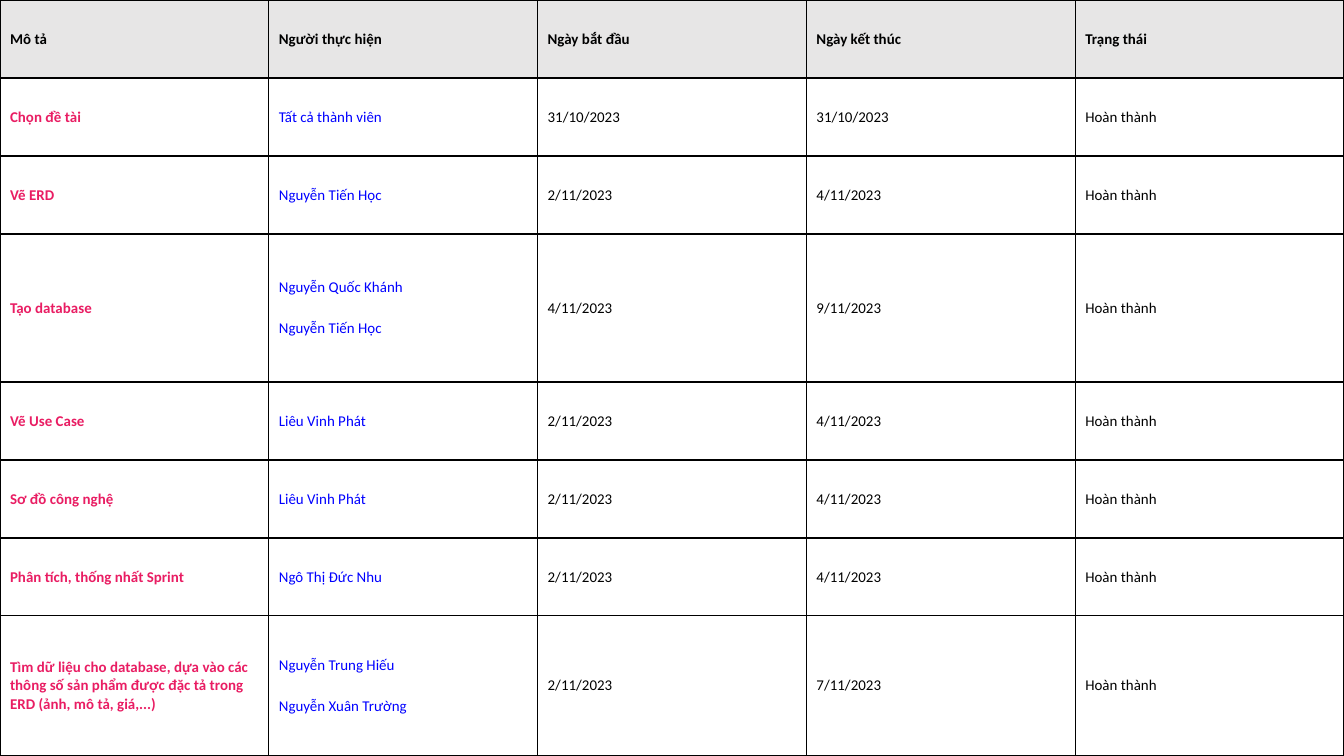
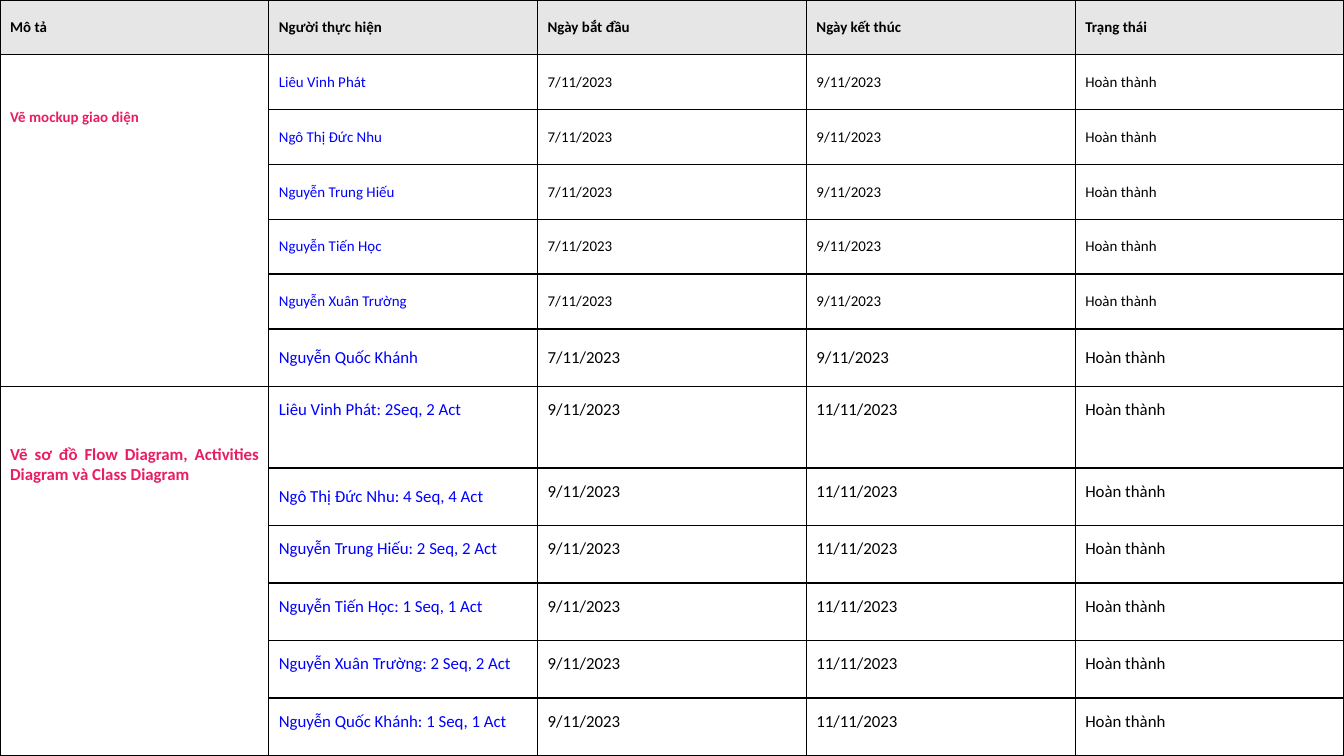
from lxml.etree import SubElement
from pptx import Presentation
from pptx.dml.color import RGBColor
from pptx.enum.text import MSO_ANCHOR, PP_ALIGN
from pptx.oxml.ns import qn
from pptx.util import Inches, Pt

COLORS = {"head": "E7E6E6", "task": "E91D63", "person": "0000FF", "text": "000000"}
FONT = "Calibri"
TOP, MIDDLE = MSO_ANCHOR.TOP, MSO_ANCHOR.MIDDLE
LEFT, JUSTIFY = PP_ALIGN.LEFT, PP_ALIGN.JUSTIFY

HEADERS = ["Mô tả", "Người thực hiện", "Ngày bắt đầu", "Ngày kết thúc", "Trạng thái"]
DONE = "Hoàn thành"

TASKS = [
    ("Chọn đề tài", ["Tất cả thành viên"], "31/10/2023", "31/10/2023", 0.58),
    ("Vẽ ERD", ["Nguyễn Tiến Học"], "2/11/2023", "4/11/2023", 0.58),
    ("Tạo database", ["Nguyễn Quốc Khánh", "Nguyễn Tiến Học"], "4/11/2023", "9/11/2023", 1.1),
    ("Vẽ Use Case", ["Liêu Vinh Phát"], "2/11/2023", "4/11/2023", 0.58),
    ("Sơ đồ công nghệ", ["Liêu Vinh Phát"], "2/11/2023", "4/11/2023", 0.58),
    ("Phân tích, thống nhất Sprint", ["Ngô Thị Đức Nhu"], "2/11/2023", "4/11/2023", 0.58),
    ("Tìm dữ liệu cho database, dựa vào các thông số sản phẩm được đặc tả trong ERD "
     "(ảnh, mô tả, giá,...)",
     ["Nguyễn Trung Hiếu", "Nguyễn Xuân Trường"], "2/11/2023", "7/11/2023", 1.04),
]

GROUPS = [
    {"task": "Vẽ mockup giao diện", "size": 8, "anchor": MIDDLE, "top": 0.4,
     "start": "7/11/2023", "end": "9/11/2023",
     "people": [("Liêu Vinh Phát", 8, 0.41), ("Ngô Thị Đức Nhu", 8, 0.41),
                ("Nguyễn Trung Hiếu", 8, 0.41), ("Nguyễn Tiến Học", 8, 0.41),
                ("Nguyễn Xuân Trường", 8, 0.41), ("Nguyễn Quốc Khánh", 9, 0.43)]},
    {"task": "Vẽ sơ đồ Flow Diagram, Activities Diagram và Class Diagram", "size": 9,
     "anchor": TOP, "top": 0.43, "start": "9/11/2023", "end": "11/11/2023",
     "people": [("Liêu Vinh Phát: 2Seq, 2 Act", 9, 0.61),
                ("Ngô Thị Đức Nhu: 4 Seq, 4 Act", 9, 0.43),
                ("Nguyễn Trung Hiếu: 2 Seq, 2 Act", 9, 0.43),
                ("Nguyễn Tiến Học: 1 Seq, 1 Act", 9, 0.43),
                ("Nguyễn Xuân Trường: 2 Seq, 2 Act", 9, 0.43),
                ("Nguyễn Quốc Khánh: 1 Seq, 1 Act", 9, 0.43)]},
]
CENTERED_PERSON = "Ngô Thị Đức Nhu: 4 Seq, 4 Act"


def add_borders(cell):
    tcPr = cell._tc.get_or_add_tcPr()
    for i, side in enumerate(("lnL", "lnR", "lnT", "lnB")):
        ln = SubElement(tcPr, qn(f"a:{side}"), w=str(Pt(0.75)))
        SubElement(SubElement(ln, qn("a:solidFill")), qn("a:srgbClr"), val=COLORS["text"])
        tcPr.insert(i, ln)


def fill_cell(cell, lines, color="text", size=8, bold=False, align=LEFT,
              anchor=MIDDLE, top=0.1, before=12):
    cell.margin_left = cell.margin_right = Pt(5.4)
    cell.margin_top, cell.margin_bottom = Inches(top), Inches(0.1)
    cell.vertical_anchor = anchor
    tf = cell.text_frame
    tf.text = "\n".join(lines)
    for p in tf.paragraphs:
        p.alignment = align
        p.space_before = Pt(before)
        p.font.name, p.font.size, p.font.bold = FONT, Pt(size), bold
        p.font.color.rgb = RGBColor.from_string(COLORS[color])
    p.space_after = Pt(12)


def add_schedule(prs, heights, align):
    s = prs.slides.add_slide(prs.slide_layouts[6])
    table = s.shapes.add_table(len(heights), len(HEADERS), 0, 0,
                               prs.slide_width, prs.slide_height).table
    table.first_row = table.horz_banding = False
    for row, height in zip(table.rows, heights):
        row.height = int(prs.slide_height * height / sum(heights))
    for cell in table.iter_cells():
        cell.fill.background()
        add_borders(cell)
    for c, header in enumerate(HEADERS):
        cell = table.cell(0, c)
        cell.fill.solid()
        cell.fill.fore_color.rgb = RGBColor.from_string(COLORS["head"])
        fill_cell(cell, [header], bold=True, align=align, before=0)
    return table


def fill_details(table, r, start, end, **style):
    for c, text in enumerate((start, end, DONE), 2):
        fill_cell(table.cell(r, c), [text], **style)


def build_tasks(prs):
    table = add_schedule(prs, [0.58] + [task[-1] for task in TASKS], LEFT)
    for r, (task, people, start, end, _) in enumerate(TASKS, 1):
        fill_cell(table.cell(r, 0), [task], "task", bold=True)
        fill_cell(table.cell(r, 1), people, "person")
        fill_details(table, r, start, end)


def build_groups(prs):
    heights = [0.41] + [person[-1] for g in GROUPS for person in g["people"]]
    table = add_schedule(prs, heights, JUSTIFY)
    r = 1
    for g in GROUPS:
        first = table.cell(r, 0)
        first.merge(table.cell(r + len(g["people"]) - 1, 0))
        fill_cell(first, [g["task"]], "task", g["size"], True, JUSTIFY, TOP, g["top"])
        for person, size, _ in g["people"]:
            centered = person == CENTERED_PERSON
            fill_cell(table.cell(r, 1), [person], "person", size,
                      align=LEFT if centered else JUSTIFY,
                      anchor=MIDDLE if centered else g["anchor"])
            fill_details(table, r, g["start"], g["end"], size=size,
                         align=JUSTIFY, anchor=g["anchor"])
            r += 1


def main():
    prs = Presentation()
    prs.slide_width = Inches(10)
    prs.slide_height = prs.slide_width * 9 // 16
    build_tasks(prs)
    build_groups(prs)
    prs.save("out.pptx")


if __name__ == "__main__":
    main()
